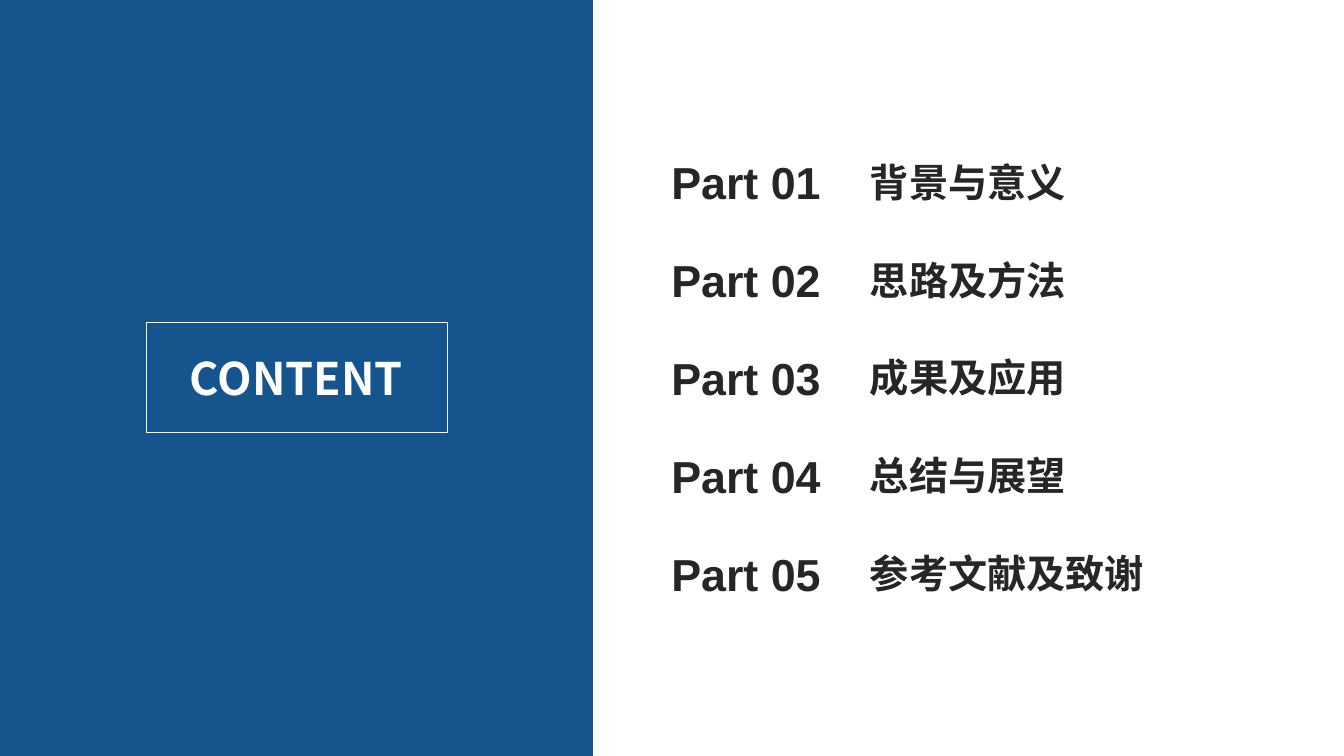
from lxml import etree
from pptx import Presentation
from pptx import util as u
from pptx.dml.color import RGBColor
from pptx.enum import shapes, text
from pptx.oxml import ns

BLUE = RGBColor(0x15, 0x54, 0x8D)
PALE = RGBColor(0xF2, 0xF2, 0xF2)
WHITE = RGBColor(0xFF, 0xFF, 0xFF)
DARK = RGBColor(0x26, 0x26, 0x26)
LATIN, HAN = "Arial", "Noto Sans CJK SC"
PARTS = ["背景与意义", "思路及方法", "成果及应用", "总结与展望", "参考文献及致谢"]


def place(shape, x, y, w, h):
    """Set the box of a shape in inches."""
    for name, size in zip(("left", "top", "width", "height"), (x, y, w, h)):
        setattr(shape, name, u.Inches(size))


def write(shape, words, font, size, color, align=text.PP_ALIGN.LEFT):
    """Fill a shape with one bold line of text."""
    frame = shape.text_frame
    form = {"word_wrap": False, "auto_size": text.MSO_AUTO_SIZE.SHAPE_TO_FIT_TEXT,
            "vertical_anchor": text.MSO_ANCHOR.TOP}
    for name, value in form.items():
        setattr(frame, name, value)
    para = frame.paragraphs[0]
    para.alignment = align
    run = para.add_run()
    run.text = words
    for name, value in {"name": font, "size": u.Pt(size), "bold": True}.items():
        setattr(run.font, name, value)
    run.font.color.rgb = color
    latin = run.font._element.find(ns.qn("a:latin"))
    east = etree.Element(ns.qn("a:ea"), typeface=font)
    latin.addnext(east)


def block(slide, kind, x, y, w, h):
    """Add a flat shape without fill or line."""
    shape = slide.shapes.add_shape(kind, *map(u.Inches, (x, y, w, h)))
    shape.shadow.inherit = False
    shape.fill.background()
    shape.line.fill.background()
    return shape


def panel(slide, x, y, w, h):
    """Draw the blue side with the framed title."""
    side = block(slide, shapes.MSO_SHAPE.RECTANGLE, x, y, w, h)
    side.fill.solid()
    side.fill.fore_color.rgb = BLUE
    frame = block(slide, shapes.MSO_SHAPE.ROUNDED_RECTANGLE, x + 1.45, y + 3.2, 2.99, 1.09)
    frame.adjustments[0] = 0
    frame.line.color.rgb = PALE
    frame.line.width = u.Pt(0)
    title = slide.shapes.title
    frame.element.addnext(title.element)
    place(title, x + 1.72, y + 3.43, 2.44, 0.64)
    write(title, "CONTENT", HAN, 32, WHITE, text.PP_ALIGN.CENTER)


def agenda(slide, x, y, step):
    """List the numbered parts at equal steps."""
    for i, name in enumerate(PARTS):
        top = y + i * step
        wide = 0.39 * len(name) + 0.22
        cells = [(f"Part {i + 1:02}", LATIN, 32, (x, top, 1.7, 0.64)),
                 (name, HAN, 28, (x + 1.97, top + 0.03, wide, 0.57))]
        for words, font, size, box in cells:
            label = slide.shapes.add_textbox(*map(u.Inches, box))
            write(label, words, font, size, DARK)


def main():
    """Build and save the contents slide."""
    deck = Presentation()
    deck.slide_width, deck.slide_height = u.Inches(13.33), u.Inches(7.5)
    slide = deck.slides.add_slide(deck.slide_layouts[5])
    panel(slide, 0, 0, 5.88, 7.5)
    agenda(slide, 6.56, 1.49, 0.97)
    deck.save("out.pptx")


if __name__ == "__main__":
    main()
